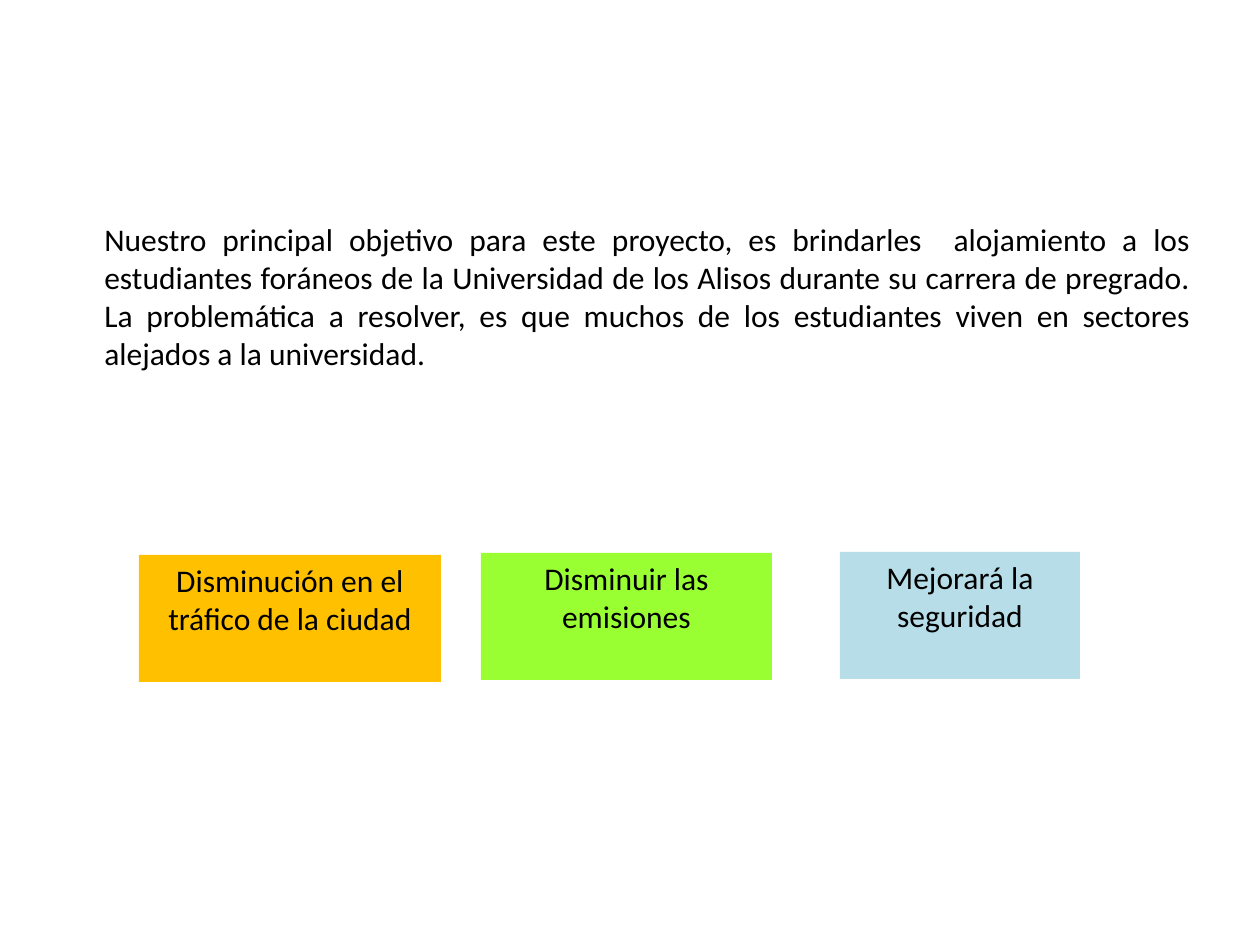
from dataclasses import dataclass

import pptx
import pptx.dml.color
import pptx.enum.shapes
import pptx.enum.text
import pptx.shapes.autoshape
import pptx.slide
import pptx.util

PX_PER_INCH = 126
SLIDE_WIDTH, SLIDE_HEIGHT = 1260, 945
BENEFIT_HEIGHT = 127

BLACK = pptx.dml.color.RGBColor(0x00, 0x00, 0x00)
AMBER = pptx.dml.color.RGBColor(0xFF, 0xC0, 0x00)
LIME = pptx.dml.color.RGBColor(0x99, 0xFF, 0x33)
PALE_BLUE = pptx.dml.color.RGBColor(0xB7, 0xDE, 0xE8)

OBJECTIVE = (
    "Nuestro principal objetivo para este proyecto, es brindarles  alojamiento "
    "a los estudiantes foráneos de la Universidad de los Alisos durante su "
    "carrera de pregrado. La problemática a resolver, es que muchos de los "
    "estudiantes viven en sectores alejados a la universidad."
)


@dataclass(frozen=True)
class Benefit:
    text: str
    left: int
    top: int
    width: int
    color: pptx.dml.color.RGBColor


BENEFITS = (
    Benefit("Disminución en el tráfico de la ciudad", 139, 555, 302, AMBER),
    Benefit("Disminuir las emisiones", 481, 553, 291, LIME),
    Benefit("Mejorará la seguridad", 840, 552, 240, PALE_BLUE),
)


def px(length: int) -> pptx.util.Emu:
    return pptx.util.Inches(length / PX_PER_INCH)


def write_text(
    shape: pptx.shapes.autoshape.Shape,
    text: str,
    *,
    align: pptx.enum.text.PP_ALIGN,
    size: int = 18,
    font: str = "Calibri",
    color: pptx.dml.color.RGBColor = BLACK,
) -> None:
    frame = shape.text_frame
    frame.word_wrap = True
    frame.vertical_anchor = pptx.enum.text.MSO_ANCHOR.TOP
    paragraph = frame.paragraphs[0]
    paragraph.alignment = align
    run = paragraph.add_run()
    run.text = text
    run.font.name = font
    run.font.size = pptx.util.Pt(size)
    run.font.color.rgb = color


def draw_benefit(slide: pptx.slide.Slide, benefit: Benefit) -> None:
    box = slide.shapes.add_shape(
        pptx.enum.shapes.MSO_SHAPE.RECTANGLE,
        px(benefit.left), px(benefit.top), px(benefit.width), px(BENEFIT_HEIGHT),
    )
    box.shadow.inherit = False
    box.fill.solid()
    box.fill.fore_color.rgb = benefit.color
    box.line.fill.background()
    write_text(box, benefit.text, align=pptx.enum.text.PP_ALIGN.CENTER)


def main() -> None:
    presentation = pptx.Presentation()
    presentation.slide_width = px(SLIDE_WIDTH)
    presentation.slide_height = px(SLIDE_HEIGHT)
    slide = presentation.slides.add_slide(presentation.slide_layouts[6])

    objective = slide.shapes.add_textbox(px(92), px(214), px(1111), px(165))
    write_text(objective, OBJECTIVE, align=pptx.enum.text.PP_ALIGN.JUSTIFY)
    for benefit in BENEFITS:
        draw_benefit(slide, benefit)

    presentation.save("out.pptx")


if __name__ == "__main__":
    main()
